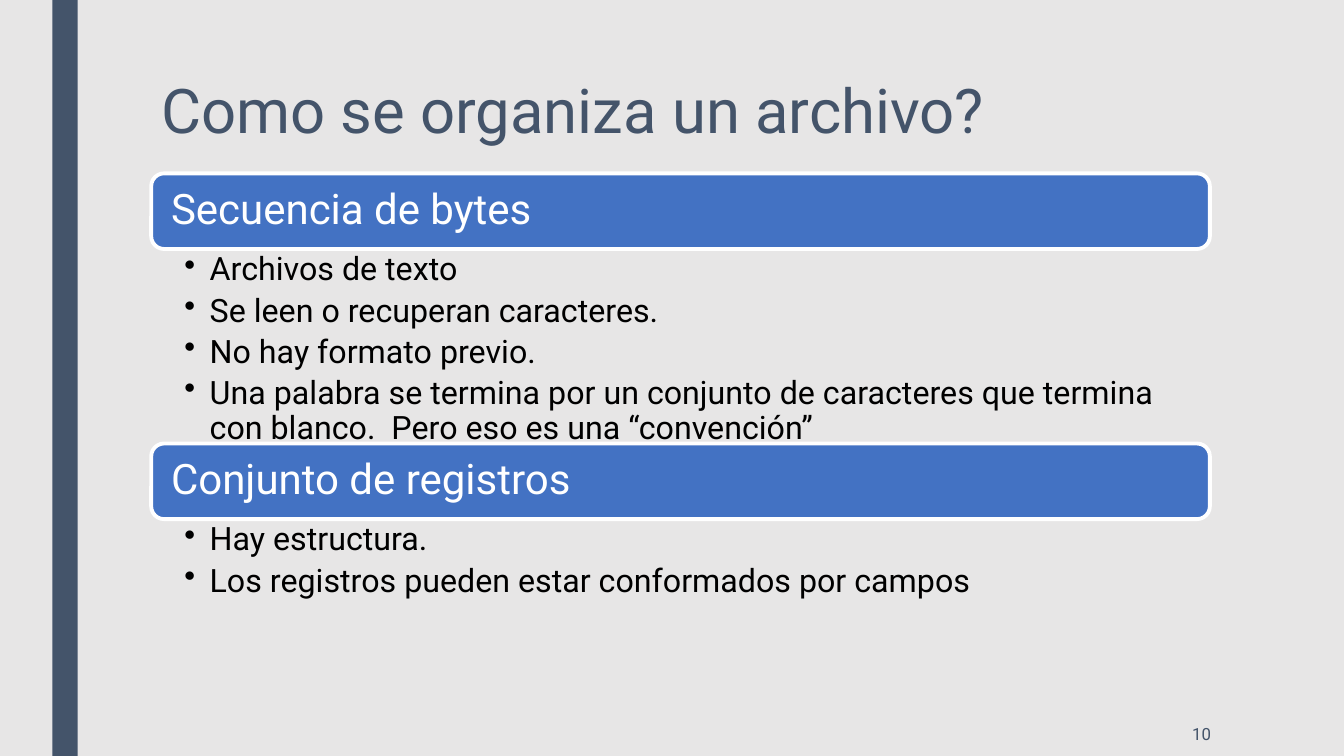
"""Build the slide on how a file is organized."""
from dataclasses import dataclass

from lxml import etree
from pptx import Presentation
from pptx.dml.color import RGBColor
from pptx.enum.shapes import MSO_SHAPE
from pptx.enum.text import MSO_ANCHOR, PP_ALIGN
from pptx.oxml.ns import qn
from pptx.util import Inches, Pt

RECTANGLE = MSO_SHAPE.RECTANGLE
ROUNDED = MSO_SHAPE.ROUNDED_RECTANGLE
TOP, MIDDLE = MSO_ANCHOR.TOP, MSO_ANCHOR.MIDDLE
LEFT, RIGHT = PP_ALIGN.LEFT, PP_ALIGN.RIGHT

FONT = "Roboto"
BACKGROUND, SLATE, BLUE = "E7E6E6", "44546A", "4372C3"
WHITE, BLACK = "FFFFFF", "000000"
CONTENT_LEFT, CONTENT_WIDTH, HEADING_HEIGHT = 1.5, 10.5, 0.75


@dataclass(frozen=True)
class Box:
    left: float
    top: float
    width: float
    height: float

    def lengths(self) -> tuple:
        return tuple(Inches(value) for value in (self.left, self.top, self.width, self.height))


@dataclass(frozen=True)
class TextStyle:
    size: float
    color: str
    insets: tuple = (0.1, 0.05, 0.1, 0.05)
    anchor: int = TOP
    alignment: int = LEFT
    line_spacing: float = 0.9
    space_before: float = 0
    bulleted: bool = False


@dataclass(frozen=True)
class Section:
    top: float
    body_height: float
    heading: str
    points: tuple


TITLE_STYLE = TextStyle(44, SLATE, line_spacing=0.89)
HEADING_STYLE = TextStyle(30, WHITE, insets=(0.16, 0.16, 0.16, 0.16), anchor=MIDDLE)
POINT_STYLE = TextStyle(23, BLACK, insets=(0.33, 0.04, 0.23, 0.04), space_before=4.6, bulleted=True)
NUMBER_STYLE = TextStyle(12, SLATE, anchor=MIDDLE, alignment=RIGHT, line_spacing=1.0)

SECTIONS = (
    Section(1.72, 1.94, "Secuencia de bytes", (
        "Archivos de texto",
        "Se leen o recuperan caracteres.",
        "No hay formato previo.",
        "Una palabra se termina por un conjunto de caracteres que termina "
        "con blanco.  Pero eso es una “convención”",
    )),
    Section(4.4, 1.22, "Conjunto de registros", (
        "Hay estructura.",
        "Los registros pueden estar conformados por campos",
    )),
)


def rgb(color: str) -> RGBColor:
    return RGBColor.from_string(color)


def add_bullet(paragraph) -> None:
    properties = paragraph._p.get_or_add_pPr()
    properties.set("marL", str(Inches(0.25)))
    properties.set("indent", str(Inches(-0.25)))
    bullet = etree.SubElement(properties, qn("a:buChar"))
    bullet.set("char", "•")


def write_text(shape, lines: tuple, style: TextStyle) -> None:
    frame = shape.text_frame
    frame.word_wrap = True
    frame.vertical_anchor = style.anchor
    (frame.margin_left, frame.margin_top,
     frame.margin_right, frame.margin_bottom) = map(Inches, style.insets)
    frame.text = "\n".join(lines)
    for index, paragraph in enumerate(frame.paragraphs):
        paragraph.alignment = style.alignment
        paragraph.line_spacing = style.line_spacing
        if index:
            paragraph.space_before = Pt(style.space_before)
        if style.bulleted:
            add_bullet(paragraph)
        for run in paragraph.runs:
            run.font.name = FONT
            run.font.size = Pt(style.size)
            run.font.color.rgb = rgb(style.color)


def add_text(slide, box: Box, lines: tuple, style: TextStyle) -> None:
    write_text(slide.shapes.add_textbox(*box.lengths()), lines, style)


def add_panel(slide, kind: int, box: Box, fill: str):
    shape = slide.shapes.add_shape(kind, *box.lengths())
    shape.shadow.inherit = False
    shape.fill.solid()
    shape.fill.fore_color.rgb = rgb(fill)
    shape.line.fill.background()
    return shape


def add_section(slide, section: Section) -> None:
    heading_box = Box(CONTENT_LEFT, section.top, CONTENT_WIDTH, HEADING_HEIGHT)
    heading = add_panel(slide, ROUNDED, heading_box, BLUE)
    heading.adjustments[0] = 0.17
    heading.line.color.rgb = rgb(WHITE)
    heading.line.width = Pt(2.75)
    write_text(heading, (section.heading,), HEADING_STYLE)
    body_box = Box(CONTENT_LEFT, section.top + HEADING_HEIGHT, CONTENT_WIDTH, section.body_height)
    add_text(slide, body_box, section.points, POINT_STYLE)


def main() -> None:
    presentation = Presentation()
    presentation.slide_width = Inches(13.33)
    presentation.slide_height = Inches(7.5)
    slide = presentation.slides.add_slide(presentation.slide_layouts[6])
    slide.background.fill.solid()
    slide.background.fill.fore_color.rgb = rgb(BACKGROUND)

    add_panel(slide, RECTANGLE, Box(0.52, 0, 0.25, 7.5), SLATE)
    title_box = Box(CONTENT_LEFT, 0.75, CONTENT_WIDTH, 1.62)
    add_text(slide, title_box, ("Como se organiza un archivo?",), TITLE_STYLE)
    for section in SECTIONS:
        add_section(slide, section)
    add_text(slide, Box(10.36, 7.06, 1.75, 0.44), ("10",), NUMBER_STYLE)
    presentation.save("out.pptx")


if __name__ == "__main__":
    main()
